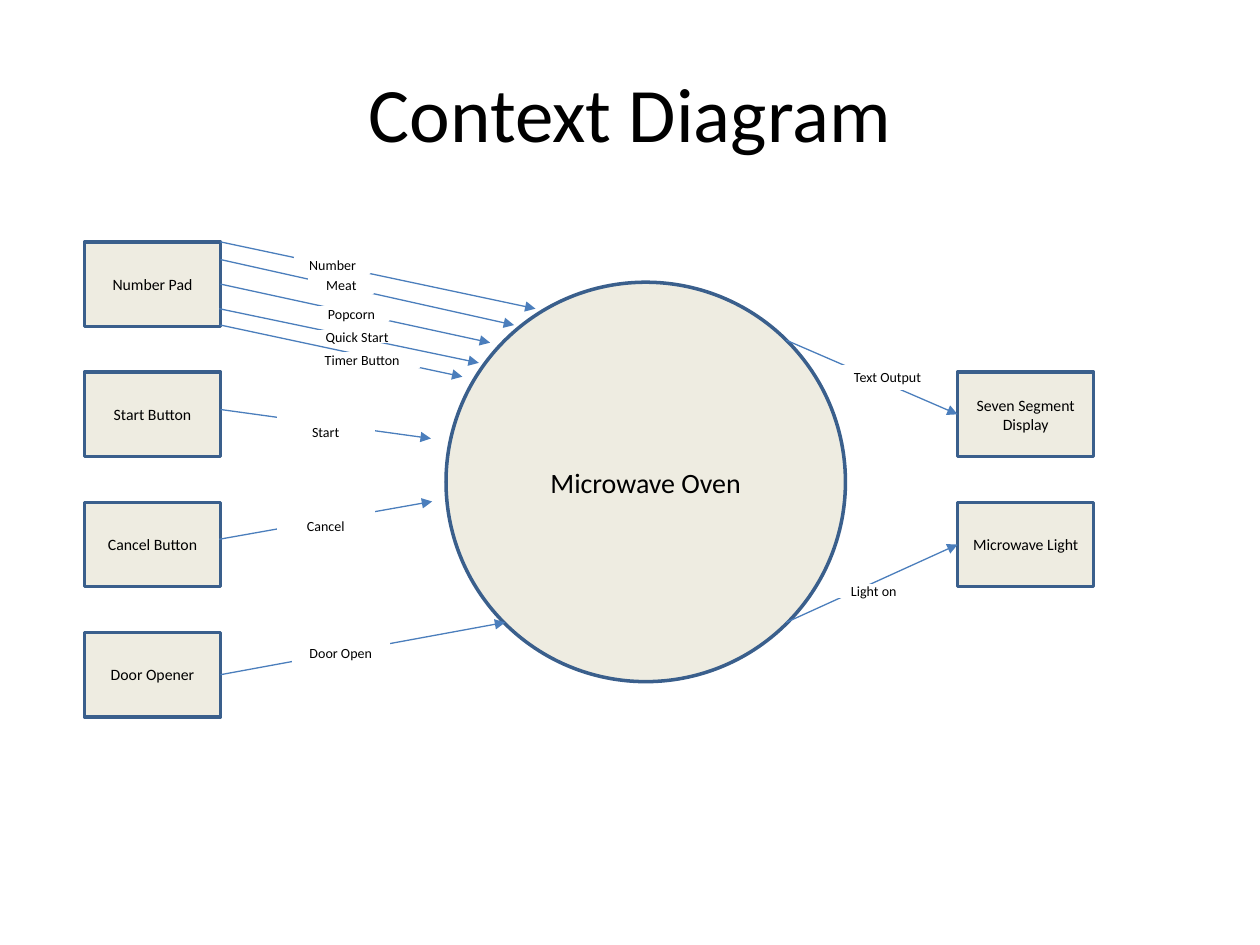
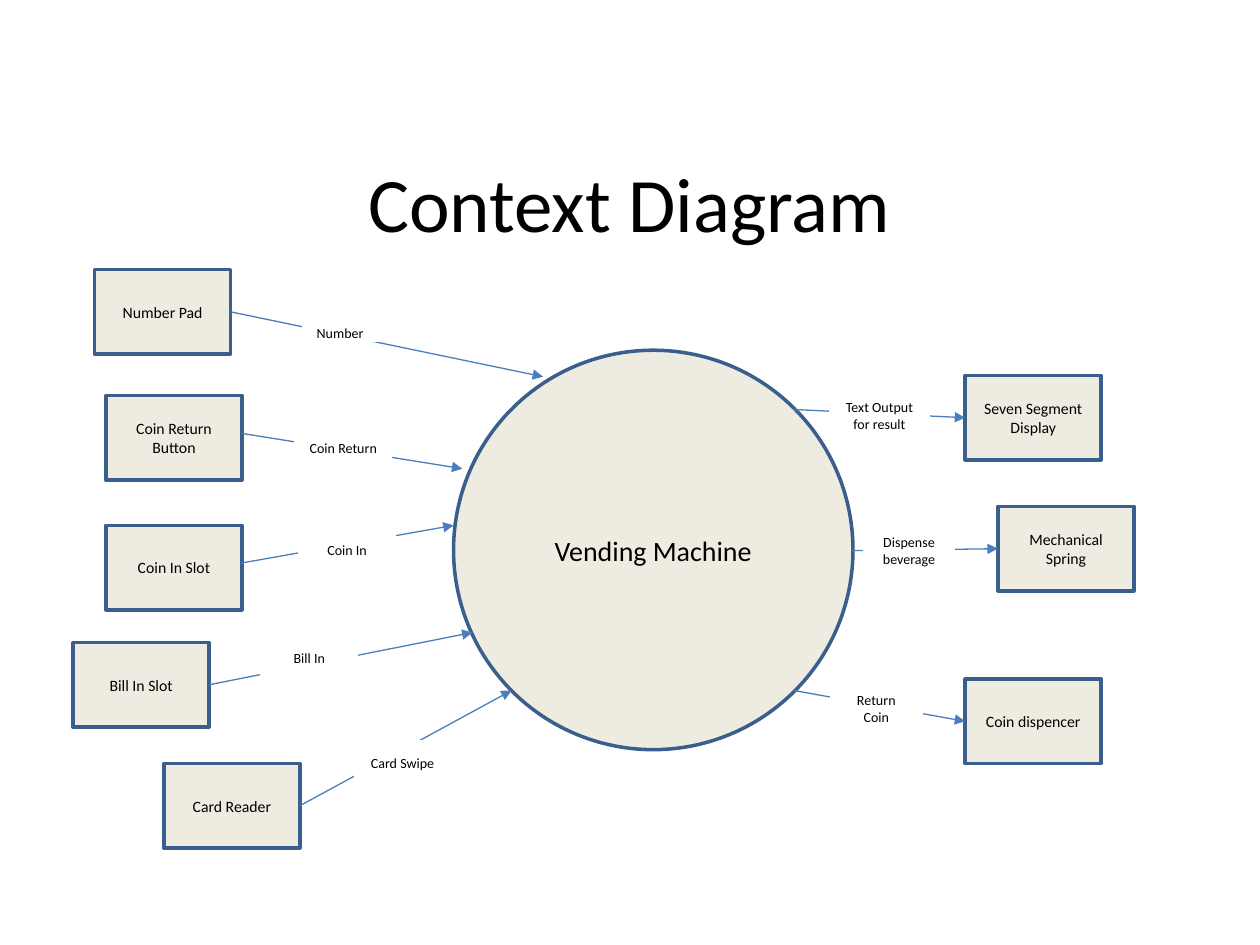
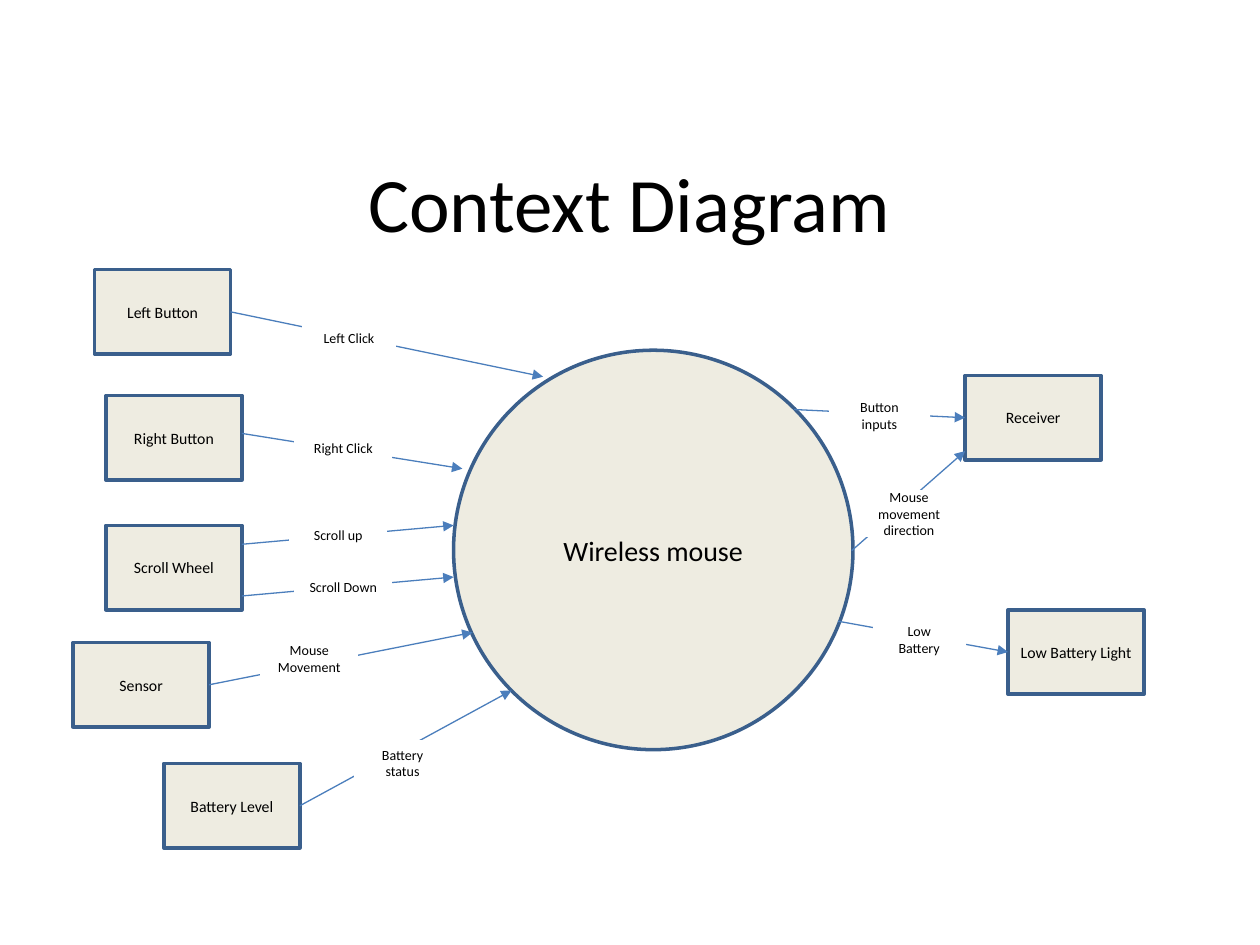
"""Builds three context diagrams: devices around one system, joined by labelled flows."""
import pptx
import pptx.util
import pptx.dml.color
import pptx.enum.shapes
import pptx.enum.text
import pptx.oxml.ns
from lxml import etree

Inches = pptx.util.Inches
SHAPE = pptx.enum.shapes.MSO_SHAPE

FONT = "Calibri"
INK, PAPER, SAND, NAVY, BLUE = "000000", "FFFFFF", "EEECE1", "3A5F8C", "4B7EBC"
TITLE = "Context Diagram"
DEVICE_SIZE = (1.08, 0.67)
SYSTEM_SIZE = (3.17, 3.17)
LABEL_SIZE = (0.75, 0.33)
JOIN_TOLERANCE = 0.02

HIGH_TITLE = (0.5, 0.26, 9, 1.25)
LOW_TITLE = (1.62, 1.13, 6.75, 0.94)
ROWS = [1.92 + row * 3.1 / 3 for row in range(4)]
INPUT_SPOTS = [(0.75, 2.14), (0.84, 3.14), (0.84, 4.17), (0.58, 5.1), (1.3, 6.06)]

FIRST_IN = ((1.81, 2.46), (4.31, 2.99))
SECOND_IN = ((1.92, 3.44), (3.67, 3.72))
FOURTH_IN = ((1.67, 5.43), (3.75, 5.02))
FIFTH_IN = ((2.38, 6.39), (4.06, 5.48))
FIRST_OUT = ((6.3, 3.25), (7.66, 3.31))
SECOND_LABEL = (2.35, 3.39, *LABEL_SIZE)
FOURTH_LABEL = (2.08, 5.06, *LABEL_SIZE)
FIFTH_LABEL = (2.82, 5.89, *LABEL_SIZE)
FIRST_OUT_LABEL = (6.59, 3.13, 0.78, 0.34)

DIAGRAMS = [
    {
        "title_at": HIGH_TITLE,
        "system": ("Microwave Oven", (3.54, 2.24)),
        "devices": [
            ("Number Pad", (0.67, ROWS[0])),
            ("Start Button", (0.67, ROWS[1])),
            ("Cancel Button", (0.67, ROWS[2])),
            ("Door Opener", (0.67, ROWS[3])),
            ("Seven Segment Display", (7.6, ROWS[1])),
            ("Microwave Light", (7.6, ROWS[2])),
        ],
        "flows": [
            ("Text Output", (6.58, 2.91, 0.93, 0.17), ((6.24, 2.7), (7.6, 3.28))),
            ("Light on", (6.58, 4.65, 0.71, 0.08), ((6.24, 4.94), (7.6, 4.32))),
            ("Door Open", (2.33, 5.02, *LABEL_SIZE), ((1.75, 5.35), (4.01, 4.94))),
            ("Cancel", (2.21, 4.01, *LABEL_SIZE), ((1.74, 4.28), (3.43, 3.98))),
            ("Start", (2.21, 3.26, *LABEL_SIZE), ((1.75, 3.25), (3.42, 3.48))),
            ("Number", (2.35, 2.04, 0.58, 0.12), ((1.75, 1.92), (4.25, 2.45))),
            ("Meat", (2.46, 2.2, 0.5, 0.12), ((1.75, 2.06), (4.08, 2.58))),
            ("Popcorn", (2.5, 2.44, 0.58, 0.1), ((1.75, 2.25), (3.89, 2.72))),
            ("Quick Start", (2.46, 2.63, 0.75, 0.08), ((1.74, 2.45), (3.8, 2.88))),
            ("Timer Button", (2.42, 2.81, 0.91, 0.1), ((1.75, 2.58), (3.67, 2.99))),
        ],
    },
    {
        "title_at": LOW_TITLE,
        "system": ("Vending Machine", (3.6, 2.78)),
        "devices": [
            *zip(["Number Pad", "Coin Return Button", "Coin In Slot",
                  "Bill In Slot", "Card Reader"], INPUT_SPOTS),
            ("Seven Segment Display", (7.66, 2.98)),
            ("Mechanical Spring", (7.92, 4.02)),
            ("Coin dispencer", (7.66, 5.39)),
        ],
        "flows": [
            ("Number", (2.41, 2.58, 0.58, 0.12), FIRST_IN),
            ("Coin Return", SECOND_LABEL, SECOND_IN),
            ("Coin In", (2.38, 4.2, *LABEL_SIZE), ((1.91, 4.47), (3.6, 4.17))),
            ("Bill In", FOURTH_LABEL, FOURTH_IN),
            ("Card Swipe", FIFTH_LABEL, FIFTH_IN),
            ("Text Output for result", FIRST_OUT_LABEL, FIRST_OUT),
            ("Dispense beverage", (6.86, 4.22, 0.71, 0.29), ((6.76, 4.37), (7.92, 4.36))),
            ("Return Coin", (6.6, 5.48, 0.71, 0.29), ((6.3, 5.48), (7.66, 5.72))),
        ],
    },
    {
        "title_at": LOW_TITLE,
        "system": ("Wireless mouse", (3.6, 2.78)),
        "devices": [
            *zip(["Left Button", "Right Button", "Scroll Wheel",
                  "Sensor", "Battery Level"], INPUT_SPOTS),
            ("Receiver", (7.66, 2.98)),
            ("Low Battery Light", (8, 4.84)),
        ],
        "flows": [
            ("Left Click", (2.41, 2.58, 0.72, 0.2), FIRST_IN),
            ("Right Click", SECOND_LABEL, SECOND_IN),
            ("Scroll up", (2.31, 4.08, *LABEL_SIZE), ((1.92, 4.32), (3.6, 4.17))),
            ("Scroll Down", (2.35, 4.49, *LABEL_SIZE), ((1.92, 4.73), (3.6, 4.58))),
            ("Mouse Movement", FOURTH_LABEL, FOURTH_IN),
            ("Battery status", FIFTH_LABEL, FIFTH_IN),
            ("Button inputs", FIRST_OUT_LABEL, FIRST_OUT),
            ("Mouse movement\ndirection", (6.86, 3.9, 0.71, 0.35), ((6.76, 4.37), (7.66, 3.58))),
            ("Low Battery", (6.94, 4.93, 0.71, 0.29), ((6.65, 4.93), (8, 5.17))),
        ],
    },
]


def colour(value):
    return pptx.dml.color.RGBColor.from_string(value)


def write(shape, text, size):
    frame = shape.text_frame
    frame.text = text
    frame.word_wrap = True
    frame.vertical_anchor = pptx.enum.text.MSO_ANCHOR.MIDDLE
    for paragraph in frame.paragraphs:
        paragraph.alignment = pptx.enum.text.PP_ALIGN.CENTER
        for run in paragraph.runs:
            run.font.name = FONT
            run.font.size = pptx.util.Pt(size)
            run.font.color.rgb = colour(INK)


def add_block(slide, preset, text, at, size, fill, edge):
    block = slide.shapes.add_shape(preset, *map(Inches, at))
    block.shadow.inherit = False
    block.fill.solid()
    block.fill.fore_color.rgb = colour(fill)
    block.line.color.rgb = colour(edge)
    block.line.width = pptx.util.Pt(2)
    write(block, text, size)
    return block


def add_device(slide, name, spot):
    device = add_block(slide, SHAPE.RECTANGLE, name, (*spot, *DEVICE_SIZE), 9, SAND, NAVY)
    device.text_frame.margin_left = device.text_frame.margin_right = Inches(0.09)
    return device


def joined_side(point, devices):
    reach = Inches(JOIN_TOLERANCE)
    x, y = map(Inches, point)
    for device in devices:
        middle = device.top + device.height / 2
        for side, edge in ((1, device.left), (3, device.left + device.width)):
            if abs(x - edge) <= reach and abs(y - middle) <= reach:
                return device, side
    return None


def add_arrow(slide, start, end, devices):
    arrow = slide.shapes.add_connector(
        pptx.enum.shapes.MSO_CONNECTOR.STRAIGHT, *map(Inches, (*start, *end)))
    arrow.line.color.rgb = colour(BLUE)
    arrow.line.width = pptx.util.Pt(0.75)
    qn = pptx.oxml.ns.qn
    etree.SubElement(arrow.line._get_or_add_ln(), qn("a:tailEnd"), type="triangle")
    etree.SubElement(arrow._element.spPr, qn("a:effectLst"))
    for point, connect in ((start, arrow.begin_connect), (end, arrow.end_connect)):
        joint = joined_side(point, devices)
        if joint:
            connect(*joint)


def add_diagram(deck, diagram):
    slide = deck.slides.add_slide(deck.slide_layouts[6])
    write(slide.shapes.add_textbox(*map(Inches, diagram["title_at"])), TITLE, 44)
    system, spot = diagram["system"]
    add_block(slide, SHAPE.OVAL, system, (*spot, *SYSTEM_SIZE), 16, SAND, NAVY)
    devices = [add_device(slide, name, place) for name, place in diagram["devices"]]
    for _, _, (start, end) in diagram["flows"]:
        add_arrow(slide, start, end, devices)
    for label, at, _ in diagram["flows"]:
        add_block(slide, SHAPE.RECTANGLE, label, at, 8, PAPER, PAPER)


def main():
    deck = pptx.Presentation()
    deck.slide_width, deck.slide_height = Inches(10), Inches(7.5)
    for diagram in DIAGRAMS:
        add_diagram(deck, diagram)
    deck.save("out.pptx")


if __name__ == "__main__":
    main()
